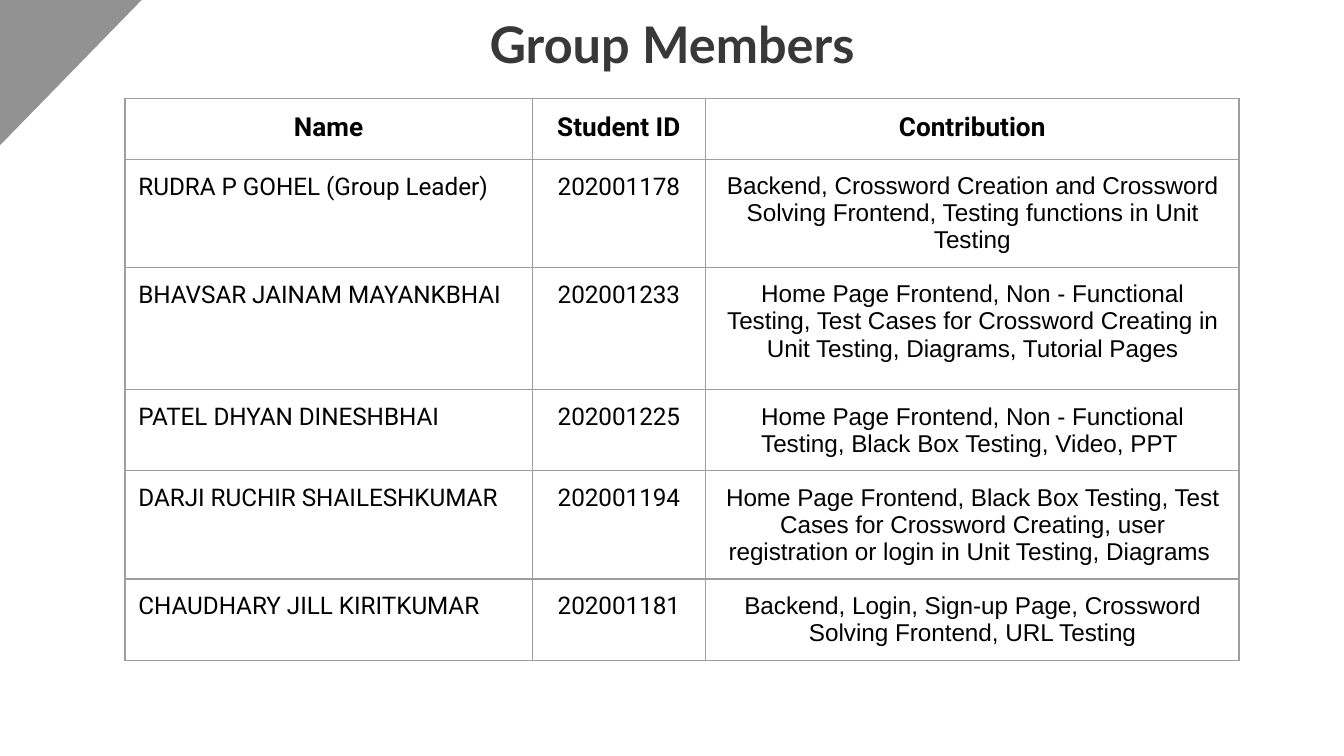
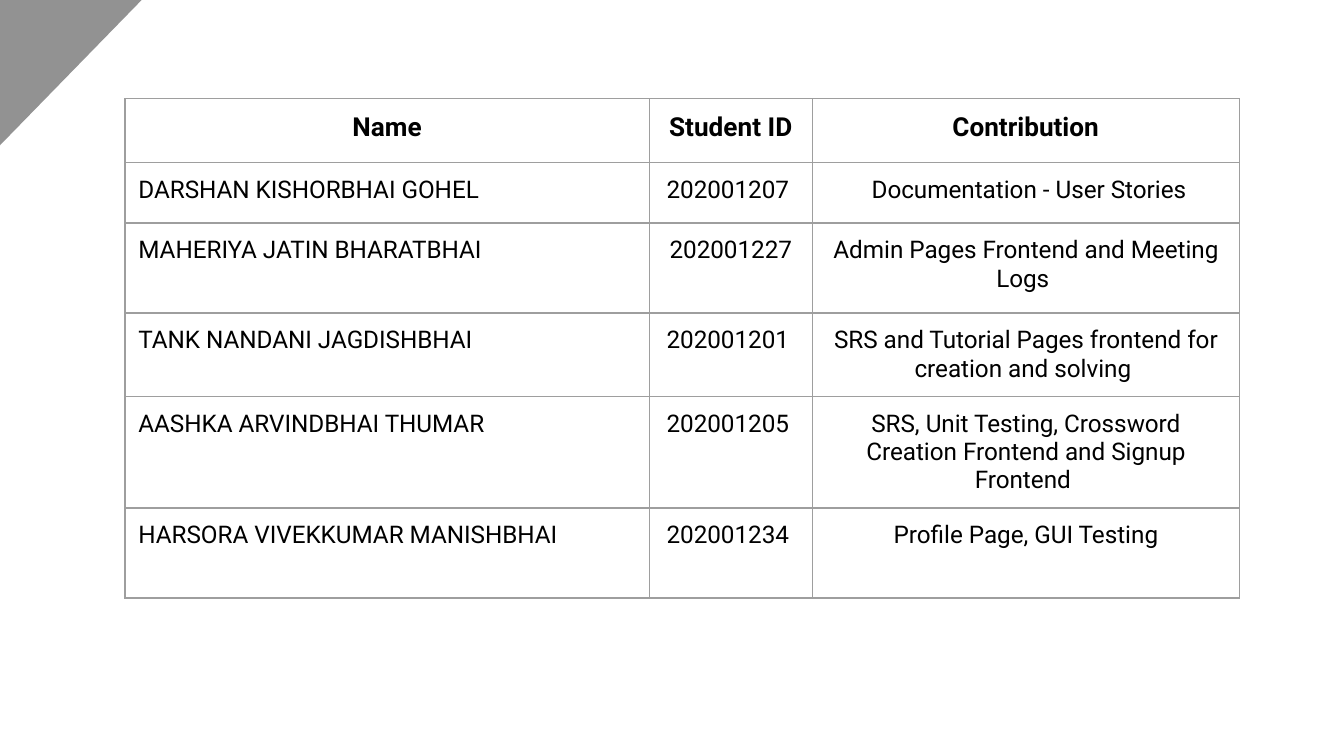
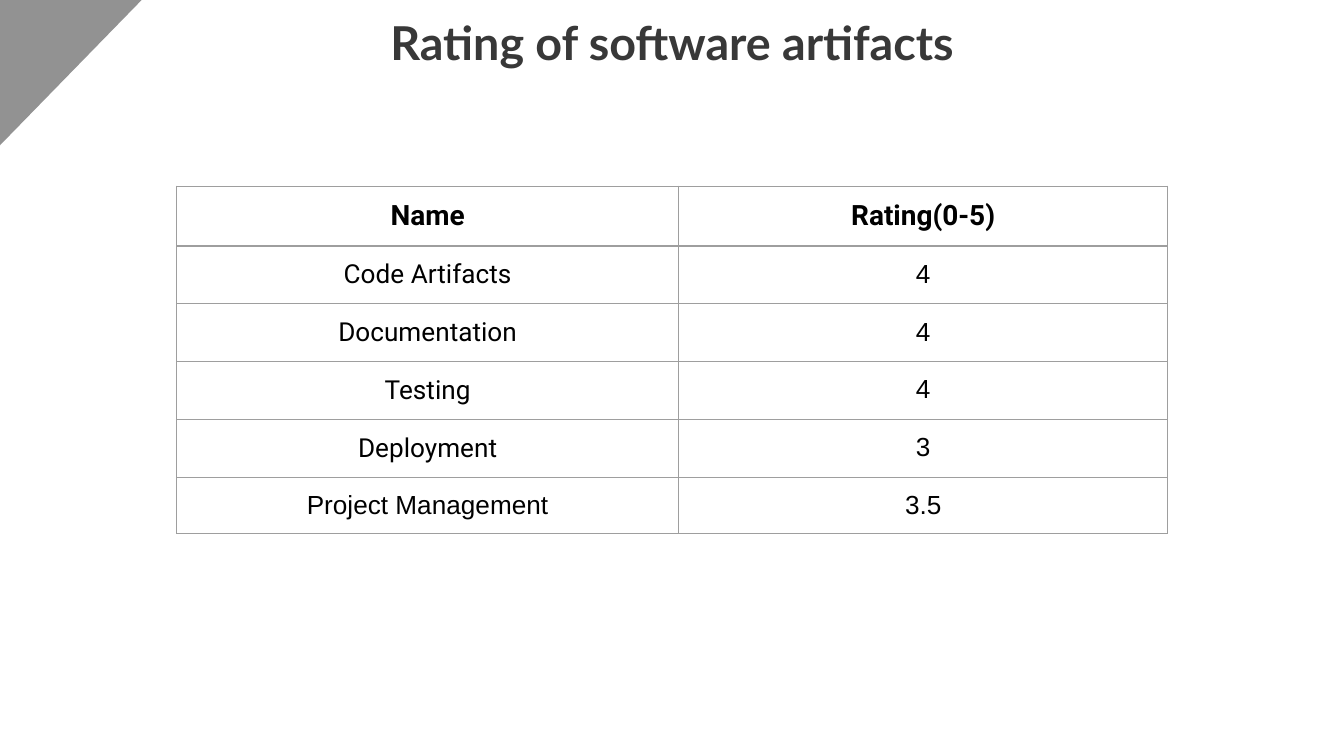
from collections import namedtuple

from lxml.etree import SubElement
from pptx import Presentation
from pptx.dml.color import RGBColor
from pptx.enum.shapes import MSO_SHAPE
from pptx.enum.text import MSO_ANCHOR, MSO_AUTO_SIZE, PP_ALIGN
from pptx.oxml.ns import qn
from pptx.util import Pt

PX = 4572  # 200 px to the inch
INSET = 20 * PX
SLIDE_SIZE = (2000, 1125)
TITLE_BOX = (369, 0, 1262, 116)
CORNER_BOX = (-545, -193, 944, 484)
CORNER_GREY, TITLE_GREY, RULE_GREY, BLACK = "929292", "383838", "9E9E9E", "000000"
HEADING_FONT, TABLE_FONT, PLAIN_FONT = "Lato", "Roboto", "Arial"
TITLE_ONLY, BLANK = 5, 6
LEFT, CENTER = PP_ALIGN.LEFT, PP_ALIGN.CENTER

Column = namedtuple("Column", "heading width align font")

LEADING_MEMBERS = [
    ("RUDRA P GOHEL (Group Leader)", "202001178",
     "Backend, Crossword Creation and Crossword Solving Frontend, "
     "Testing functions in Unit Testing"),
    ("BHAVSAR JAINAM MAYANKBHAI", "202001233",
     "Home Page Frontend, Non - Functional Testing, Test Cases for Crossword "
     "Creating in Unit Testing, Diagrams, Tutorial Pages"),
    ("PATEL DHYAN DINESHBHAI", "202001225",
     "Home Page Frontend, Non - Functional Testing, Black Box Testing, Video, PPT "),
    ("DARJI RUCHIR SHAILESHKUMAR", "202001194",
     "Home Page Frontend, Black Box Testing, Test Cases for Crossword Creating, "
     "user registration or login in Unit Testing, Diagrams "),
    ("CHAUDHARY JILL KIRITKUMAR", "202001181",
     "Backend, Login, Sign-up Page, Crossword Solving Frontend, URL Testing"),
]
OTHER_MEMBERS = [
    ("DARSHAN KISHORBHAI GOHEL", "202001207 ", " Documentation - User Stories"),
    ("MAHERIYA JATIN BHARATBHAI", "202001227",
     "Admin Pages Frontend and Meeting Logs "),
    ("TANK NANDANI JAGDISHBHAI", "202001201 ",
     "SRS and Tutorial Pages frontend for creation and solving "),
    ("AASHKA ARVINDBHAI THUMAR", "202001205 ",
     "SRS, Unit Testing, Crossword Creation Frontend and Signup Frontend "),
    ("HARSORA VIVEKKUMAR MANISHBHAI", "202001234 ", "Profile Page, GUI Testing"),
]
RATINGS = [
    ("Code Artifacts", "4"),
    ("Documentation", "4"),
    ("Testing", "4"),
    ("Deployment", "3"),
    (("Project Management", PLAIN_FONT), "3.5"),
]


def emu(box):
    return [length * PX for length in box]


def rgb(hex_colour):
    return RGBColor.from_string(hex_colour)


def write(frame, text, size, font, colour, bold, align):
    frame.margin_left = frame.margin_right = INSET
    frame.margin_top = frame.margin_bottom = INSET
    paragraph = getattr(frame, "text_frame", frame).paragraphs[0]
    paragraph.alignment = align
    run = paragraph.add_run()
    run.text = text
    run.font.size = Pt(size)
    run.font.name = font
    run.font.bold = bold
    run.font.color.rgb = rgb(colour)


def add_master_corner(prs, slide, box):
    """Grey corner, moved to the master so that every slide shows it."""
    corner = slide.shapes.add_shape(MSO_SHAPE.ISOSCELES_TRIANGLE, *emu(box))
    corner.rotation = 180
    corner.shadow.inherit = False
    corner.fill.solid()
    corner.fill.fore_color.rgb = rgb(CORNER_GREY)
    corner.line.fill.background()
    corner.element.nvSpPr.cNvPr.set("id", "99")
    prs.slide_master.element.cSld.spTree.insert(2, corner.element)


def add_titled_slide(prs, heading, size):
    slide = prs.slides.add_slide(prs.slide_layouts[TITLE_ONLY])
    title = slide.shapes.title
    title.left, title.top, title.width, title.height = emu(TITLE_BOX)
    frame = title.text_frame
    frame.word_wrap = True
    frame.auto_size = MSO_AUTO_SIZE.NONE
    frame.vertical_anchor = MSO_ANCHOR.TOP
    write(frame, heading, size, HEADING_FONT, TITLE_GREY, True, CENTER)
    return slide


def rule_cells(table_frame):
    for tc in table_frame.element.iter(qn("a:tc")):
        for side in ("a:lnL", "a:lnR", "a:lnT", "a:lnB"):
            line = SubElement(tc.get_or_add_tcPr(), qn(side), w=str(Pt(0.75)))
            fill = SubElement(line, qn("a:solidFill"))
            SubElement(fill, qn("a:srgbClr"), val=RULE_GREY)


def add_ruled_table(slide, left, top, columns, heights, records, heading_size):
    """Table with a bold heading row; body text is one point smaller."""
    box = (left, top, sum(column.width for column in columns), sum(heights))
    table_frame = slide.shapes.add_table(len(heights), len(columns), *emu(box))
    rule_cells(table_frame)
    table = table_frame.table
    table.horz_banding = False
    for row, height in zip(table.rows, heights):
        row.height = height * PX

    for c, column in enumerate(columns):
        table.columns[c].width = column.width * PX
        entries = [(column.heading, TABLE_FONT)]
        for record in records:
            entry = record[c]
            entries.append((entry, column.font) if isinstance(entry, str) else entry)
        for r, (text, font) in enumerate(entries):
            cell = table.cell(r, c)
            cell.fill.background()
            is_heading = r == 0
            write(cell, text, heading_size if is_heading else heading_size - 1,
                  font, BLACK, is_heading, CENTER if is_heading else column.align)


def add_member_table(slide, widths, heights, members, contribution_font):
    columns = [
        Column("Name", widths[0], LEFT, TABLE_FONT),
        Column("Student ID", widths[1], CENTER, TABLE_FONT),
        Column("Contribution", widths[2], CENTER, contribution_font),
    ]
    add_ruled_table(slide, 186, 147, columns, heights, members, 14)


def add_rating_table(slide):
    columns = [
        Column("Name", 747, CENTER, TABLE_FONT),
        Column("Rating(0-5)", 728, CENTER, PLAIN_FONT),
    ]
    heights = [60] + [58] * len(RATINGS)
    add_ruled_table(slide, 263, 277, columns, heights, RATINGS, 15)


def main():
    prs = Presentation()
    prs.slide_width, prs.slide_height = emu(SLIDE_SIZE)

    # Group members, first half
    leading = add_titled_slide(prs, "Group Members", 27)
    add_master_corner(prs, leading, CORNER_BOX)
    add_member_table(leading, (606, 258, 794), (90, 86, 182, 86, 86, 86),
                     LEADING_MEMBERS, PLAIN_FONT)

    # Group members, second half
    others = prs.slides.add_slide(prs.slide_layouts[BLANK])
    add_member_table(others, (780, 243, 635), (95, 90, 134, 110, 134, 134),
                     OTHER_MEMBERS, TABLE_FONT)

    # Ratings
    add_rating_table(add_titled_slide(prs, "Rating of software artifacts", 25))

    prs.save("out.pptx")


if __name__ == "__main__":
    main()
